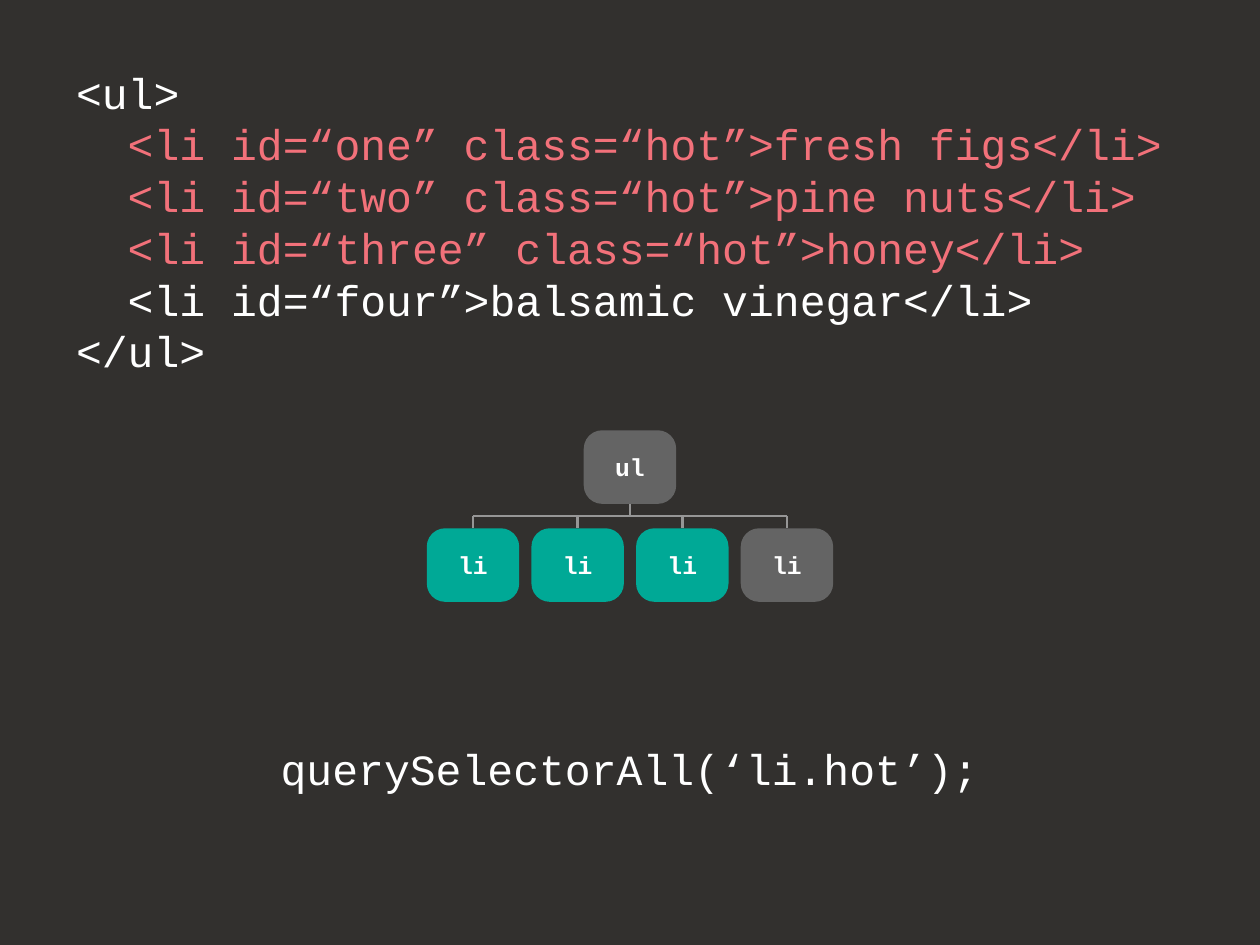
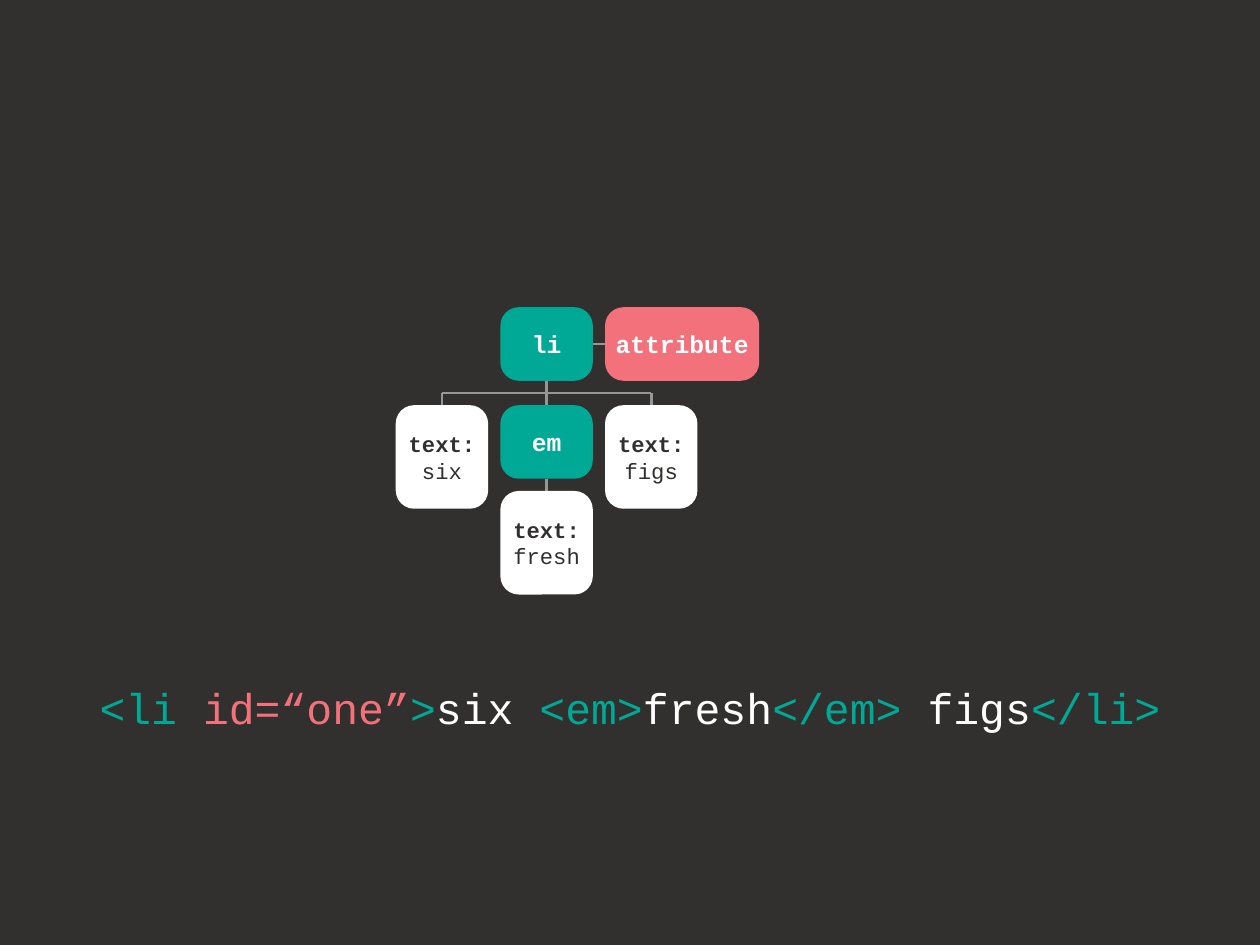
from lxml import etree
from pptx import Presentation
from pptx import util as u
from pptx.dml.color import RGBColor
from pptx.enum import shapes, text
from pptx.oxml.ns import qn

DARK = RGBColor(0x32, 0x30, 0x2E)
WHITE = RGBColor(0xFF, 0xFF, 0xFF)
TEAL = RGBColor(0x00, 0xA9, 0x96)
ROSE = RGBColor(0xF2, 0x71, 0x7A)
GREY = RGBColor(0x64, 0x64, 0x64)
RULE = RGBColor(0x96, 0x96, 0x96)

FONT = "Courier New"
CODE = 35
WIDE, HIGH = 36.12, 27.1
EDGE = 2.18
BOX_W, BOX_H, TEXT_H = 2.65, 2.11, 2.97
GAP = 0.35
STEP = BOX_W + GAP
INDENT = u.Pt(2 * 0.6 * CODE)


def write(frame, lines, size=CODE, align=text.PP_ALIGN.CENTER,
          anchor=text.MSO_ANCHOR.MIDDLE, inset=0.0):
    frame.word_wrap = True
    frame.auto_size = text.MSO_AUTO_SIZE.NONE
    frame.vertical_anchor = anchor
    frame.margin_left = frame.margin_right = u.Cm(inset)
    frame.margin_top = frame.margin_bottom = u.Cm(inset)
    for i, line in enumerate(lines):
        para = frame.add_paragraph() if i else frame.paragraphs[0]
        para.alignment = align
        para.line_spacing = u.Pt(1.2 * size)
        for words, color, bold in line:
            run = para.add_run()
            run.text = words
            run.font.name = FONT
            run.font.size = u.Pt(size)
            run.font.bold = bold
            run.font.color.rgb = color


def title(slide, top, parts):
    shape = slide.shapes.title
    shape.left, shape.top = u.Cm(EDGE), u.Cm(top)
    shape.width, shape.height = u.Cm(WIDE - 2 * EDGE), u.Cm(1.75)
    write(shape.text_frame, [[(words, color, False) for words, color in parts]])


def code(slide, top, rows):
    box = slide.shapes.add_textbox(u.Cm(EDGE), u.Cm(top),
                                   u.Cm(WIDE - 2 * EDGE), u.Cm(8.8))
    write(box.text_frame, [[(words, color, False)] for words, color, _ in rows],
          align=text.PP_ALIGN.LEFT, anchor=text.MSO_ANCHOR.TOP)
    for para, (_, _, depth) in zip(box.text_frame.paragraphs, rows):
        para._p.get_or_add_pPr().set("marL", str(depth * INDENT))


def block(slide, mid, top, fill, lines, size, width=BOX_W, high=BOX_H):
    shape = slide.shapes.add_shape(
        shapes.MSO_SHAPE.ROUNDED_RECTANGLE,
        u.Cm(mid - width / 2), u.Cm(top), u.Cm(width), u.Cm(high))
    shape.adjustments[0] = 0.25 * BOX_H / min(width, high)
    shape.shadow.inherit = False
    shape.fill.solid()
    shape.fill.fore_color.rgb = fill
    shape.line.fill.background()
    write(shape.text_frame, lines, size=size)


def node(slide, mid, top, name, fill, width=BOX_W):
    block(slide, mid, top, fill, [[(name, WHITE, True)]], 20, width=width)


def leaf(slide, mid, top, value):
    lines = [[("text:", DARK, True)], [(value, DARK, False)]]
    block(slide, mid, top, WHITE, lines, 18, high=TEXT_H)


def link(slide, x1, y1, x2, y2):
    line = slide.shapes.add_connector(
        shapes.MSO_CONNECTOR.STRAIGHT, u.Cm(x1), u.Cm(y1), u.Cm(x2), u.Cm(y2))
    line.line.color.rgb = RULE
    line.line.width = u.Pt(2)
    etree.SubElement(line._element.spPr, qn("a:effectLst"))


def branch(slide, mid, top, count):
    mids = [mid + (i - (count - 1) / 2) * STEP for i in range(count)]
    rail = top + GAP
    link(slide, mid, top, mid, rail)
    link(slide, mids[0], rail, mids[-1], rail)
    for x in mids:
        link(slide, x, rail, x, rail + GAP)
    return mids, rail + GAP


def query(slide):
    title(slide, 21.16, [("querySelectorAll(‘li.hot’);", WHITE)])
    mid, top = WIDE / 2, 12.34
    node(slide, mid, top, "ul", GREY)
    mids, row = branch(slide, mid, top + BOX_H, 4)
    for x, fill in zip(mids, [TEAL, TEAL, TEAL, GREY]):
        node(slide, x, row, "li", fill)
    code(slide, 1.9, [
        ("<ul>", WHITE, 0),
        ("<li id=“one” class=“hot”>fresh figs</li>", ROSE, 1),
        ("<li id=“two” class=“hot”>pine nuts</li>", ROSE, 1),
        ("<li id=“three” class=“hot”>honey</li>", ROSE, 1),
        ("<li id=“four”>balsamic vinegar</li>", WHITE, 1),
        ("</ul>", WHITE, 0),
    ])


def markup(slide):
    title(slide, 19.41, [
        ("<li ", TEAL), ("id=“one”", ROSE), (">", TEAL), ("six ", WHITE),
        ("<em>", TEAL), ("fresh", WHITE), ("</em>", TEAL),
        (" figs", WHITE), ("</li>", TEAL),
    ])
    mid, top, width = 15.67, 8.81, 4.42
    side = mid + BOX_W / 2
    node(slide, mid, top, "li", TEAL)
    node(slide, side + GAP + width / 2, top, "attribute", ROSE, width=width)
    link(slide, side, top + BOX_H / 2, side + GAP, top + BOX_H / 2)
    (left, mid, right), row = branch(slide, mid, top + BOX_H, 3)
    leaf(slide, left, row, "six")
    leaf(slide, right, row, "figs")
    node(slide, mid, row, "em", TEAL)
    foot = row + BOX_H
    link(slide, mid, foot, mid, foot + GAP)
    leaf(slide, mid, foot + GAP, "fresh")


def main():
    deck = Presentation()
    deck.slide_width, deck.slide_height = u.Cm(WIDE), u.Cm(HIGH)
    back = deck.slide_master.background.fill
    back.solid()
    back.fore_color.rgb = DARK
    for build in (query, markup):
        build(deck.slides.add_slide(deck.slide_layouts[5]))
    deck.save("out.pptx")


if __name__ == "__main__":
    main()
